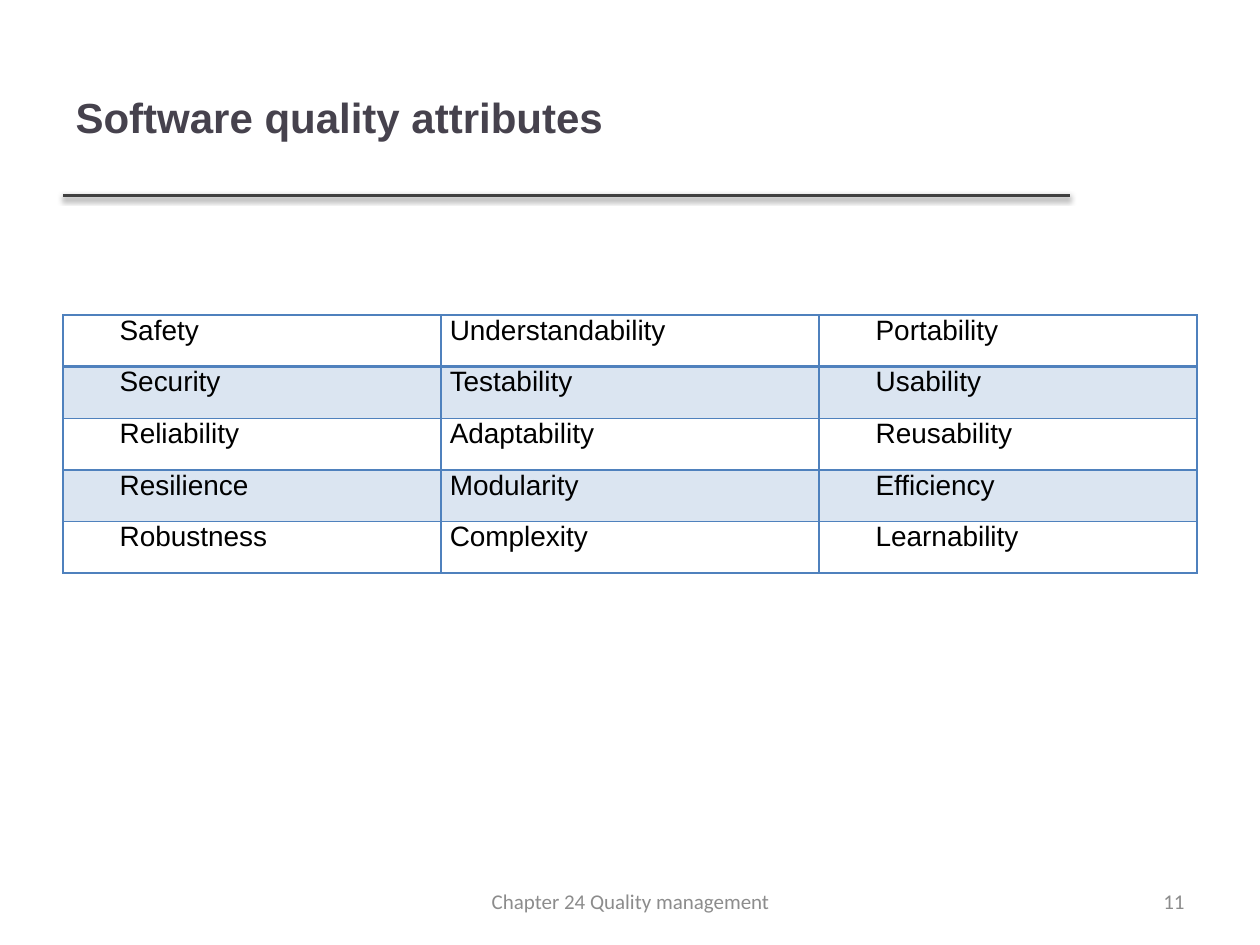
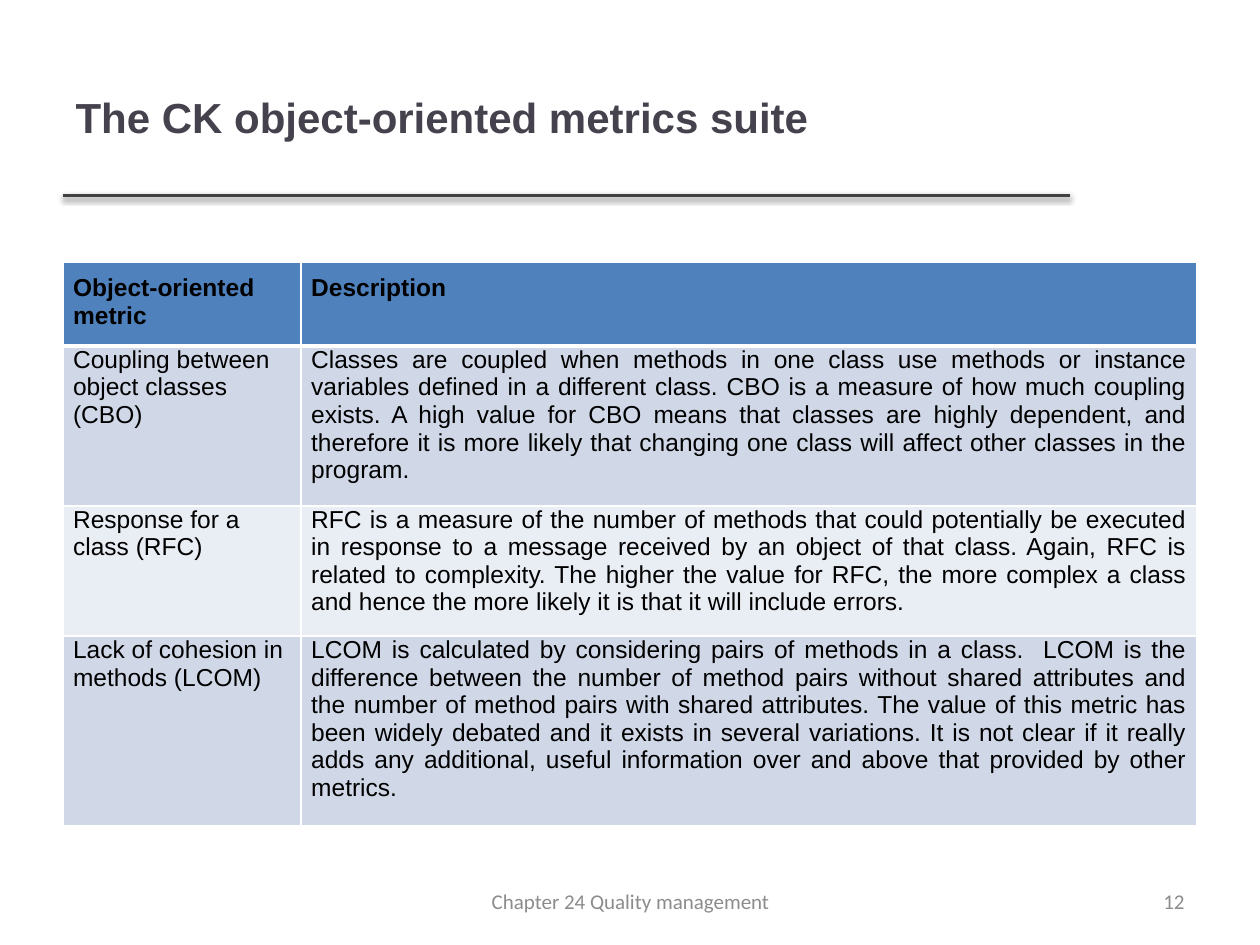
import pptx
import pptx.util
import pptx.dml.color
import pptx.enum.shapes
import pptx.enum.text
import pptx.oxml
import pptx.oxml.ns
import lxml.etree

Inches, Pt = pptx.util.Inches, pptx.util.Pt
ALIGN = pptx.enum.text.PP_ALIGN
MIDDLE = pptx.enum.text.MSO_ANCHOR.MIDDLE
qn = pptx.oxml.ns.qn

BLACK, WHITE, BLUE = "000000", "FFFFFF", "4F81BD"
DARK, RULE, GREY = "46424D", "404040", "8C8C8C"
BANDS = ["D0D8E8", "E9EDF4"]
FOOTER = "Chapter 24 Quality management"
LEFT = 0.5

TRAITS = [
    ("Safety", "Understandability", "Portability"),
    ("Security", "Testability", "Usability"),
    ("Reliability", "Adaptability", "Reusability"),
    ("Resilience", "Modularity", "Efficiency"),
    ("Robustness", "Complexity", "Learnability"),
]

METRICS = [
    ("Object-oriented metric", "Description"),
    ("Coupling between object classes (CBO)",
     "Classes are coupled when methods in one class use methods or instance "
     "variables defined in a different class. CBO is a measure of how much "
     "coupling exists. A high value for CBO means that classes are highly "
     "dependent, and therefore it is more likely that changing one class "
     "will affect other classes in the program."),
    ("Response for a class (RFC)",
     "RFC is a measure of the number of methods that could potentially be "
     "executed in response to a message received by an object of that class. "
     "Again, RFC is related to complexity. The higher the value for RFC, the "
     "more complex a class and hence the more likely it is that it will "
     "include errors."),
    ("Lack of cohesion in methods (LCOM)",
     "LCOM is calculated by considering pairs of methods in a class.  LCOM is "
     "the difference between the number of method pairs without shared "
     "attributes and the number of method pairs with shared attributes. The "
     "value of this metric has been widely debated and it exists in several "
     "variations. It is not clear if it really adds any additional, useful "
     "information over and above that provided by other metrics."),
]


def color(code):
    """Turn a hex string into a colour."""
    return pptx.dml.color.RGBColor.from_string(code)


def write(frame, text, size, font, code, align=ALIGN.LEFT, bold=False):
    """Set and format one paragraph, and return it."""
    frame.text = text
    para = frame.paragraphs[0]
    para.alignment = align
    for run in para.runs:
        run.font.size, run.font.name, run.font.bold = Pt(size), font, bold
        run.font.color.rgb = color(code)
    return para


def label(slide, text, left, width, align):
    """Add one footer text."""
    box = slide.shapes.add_textbox(Inches(left), Inches(6.95),
                                   Inches(width), Inches(0.4))
    frame = box.text_frame
    frame.word_wrap, frame.vertical_anchor = True, MIDDLE
    write(frame, text, 12, "Calibri", GREY, align)


def rule(slide):
    """Draw the shadowed line under the title."""
    line = slide.shapes.add_connector(
        pptx.enum.shapes.MSO_CONNECTOR.STRAIGHT,
        Inches(LEFT), Inches(1.55), Inches(8.49), Inches(1.55))
    line.line.color.rgb, line.line.width = color(RULE), Pt(2)
    line._element.spPr.append(pptx.oxml.parse_xml(
        f'<a:effectLst {pptx.oxml.ns.nsdecls("a")}>'
        f'<a:outerShdw blurRad="{Pt(3.1)}" dist="{Pt(1.6)}" dir="5400000" '
        'rotWithShape="0"><a:srgbClr val="000000"><a:alpha val="38000"/>'
        '</a:srgbClr></a:outerShdw></a:effectLst>'))


def start(deck, title, number):
    """Add a slide with the shared title, line and footers."""
    slide = deck.slides.add_slide(deck.slide_layouts[5])
    rule(slide)
    head = slide.shapes.title
    head.left, head.top = Inches(LEFT), Inches(0.3)
    head.width, head.height = Inches(7.98), Inches(1.25)
    head.text_frame.vertical_anchor = MIDDLE
    write(head.text_frame, title, 24, "Arial", DARK, bold=True)
    label(slide, str(number), 7.17, 2.33, ALIGN.RIGHT)
    label(slide, FOOTER, 3.42, 3.17, ALIGN.CENTER)
    return slide


def grid(slide, top, widths, heights):
    """Add a plain table of the given column widths and row heights."""
    frame = slide.shapes.add_table(
        len(heights), len(widths), Inches(LEFT), Inches(top),
        Inches(sum(widths)), Inches(sum(heights)))
    table = frame.table
    table.first_row = table.horz_banding = False
    for col, width in zip(table.columns, widths):
        col.width = Inches(width)
    for row, height in zip(table.rows, heights):
        row.height = Inches(height)
    return table


def inset(cell, side, top, bottom):
    """Set the margins of a cell."""
    cell.margin_left = cell.margin_right = Inches(side)
    cell.margin_top, cell.margin_bottom = Inches(top), Inches(bottom)


def edge(cell, code, row, thick):
    """Border a cell; the line below the first row is thicker."""
    props = cell._tc.get_or_add_tcPr()
    sizes = {"lnL": 1, "lnR": 1, "lnT": thick if row == 1 else 1,
             "lnB": thick if row == 0 else 1}
    for spot, (side, size) in enumerate(sizes.items()):
        line = lxml.etree.Element(qn("a:" + side), w=str(Pt(size)))
        fill = lxml.etree.SubElement(line, qn("a:solidFill"))
        lxml.etree.SubElement(fill, qn("a:srgbClr"), val=code)
        props.insert(spot, line)


def tint(cell, code, alpha=100):
    """Fill a cell, with a given opacity in percent."""
    cell.fill.solid()
    cell.fill.fore_color.rgb = color(code)
    if alpha < 100:
        tone = cell._tc.tcPr.find(".//" + qn("a:srgbClr"))
        lxml.etree.SubElement(tone, qn("a:alpha"), val=str(alpha * 1000))


def traits(slide):
    """Build the table of quality attributes."""
    table = grid(slide, 2.5, [3] * 3, [0.41] * len(TRAITS))
    for r, row in enumerate(TRAITS):
        for c, text in enumerate(row):
            cell = table.cell(r, c)
            inset(cell, 0.07, 0, 0)
            para = write(cell.text_frame, text, 16, "Arial", BLACK,
                         ALIGN.JUSTIFY)
            para.space_before = Pt(3)
            if r == len(TRAITS) - 1:
                para.space_after = Pt(3)
            if c != 1:
                props = para._p.get_or_add_pPr()
                props.set("marL", "0")
                props.set("indent", str(Inches(0.38)))
            if r % 2:
                tint(cell, BLUE, 20)
            else:
                cell.fill.background()
            edge(cell, BLUE, r, 2)


def metrics(slide):
    """Build the table of metrics."""
    table = grid(slide, 2.08, [1.89, 7.11], [0.64, 1.19, 0.98, 1.41])
    for r, row in enumerate(METRICS):
        for c, text in enumerate(row):
            cell, head = table.cell(r, c), r == 0
            inset(cell, 0.08, 0.1 if head else 0, 0.1)
            align = ALIGN.JUSTIFY if head or c else ALIGN.LEFT
            write(cell.text_frame, text, 14, "Arial", BLACK, align, head)
            tint(cell, BLUE if head else BANDS[(r - 1) % 2])
            edge(cell, WHITE, r, 3)


SLIDES = [("Software quality attributes", traits),
          ("The CK object-oriented metrics suite", metrics)]

deck = pptx.Presentation()
deck.slide_width, deck.slide_height = Inches(10), Inches(7.5)
for number, (title, build) in enumerate(SLIDES, 11):
    build(start(deck, title, number))
deck.save("out.pptx")
